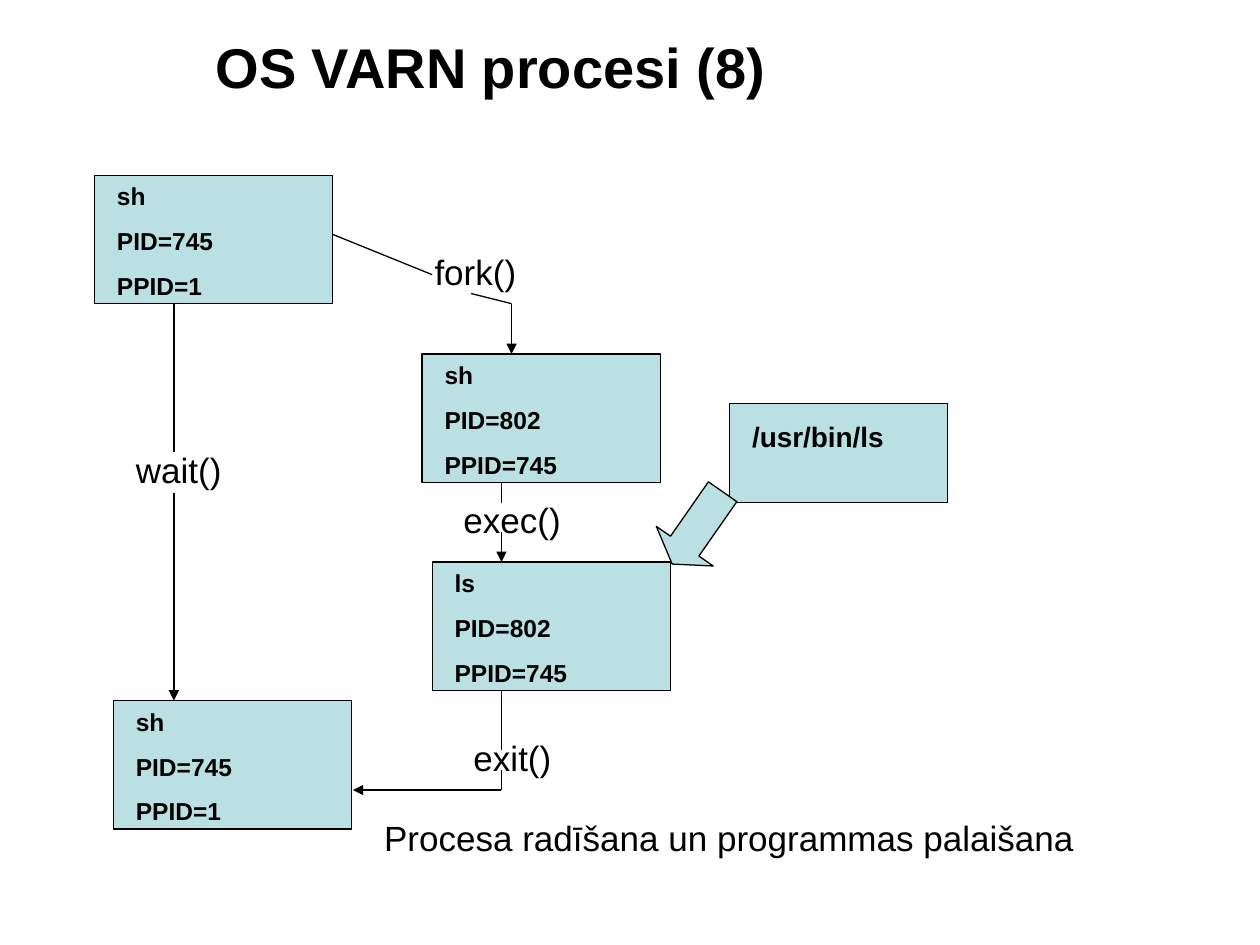
from lxml.etree import SubElement
from pptx import Presentation
from pptx.dml.color import RGBColor as Rgb
from pptx.enum.shapes import MSO_CONNECTOR as Conn, MSO_SHAPE as Geo
from pptx.enum.text import MSO_ANCHOR as Anchor, PP_ALIGN as Align
from pptx.oxml.ns import qn
from pptx.util import Inches, Pt

COLORS = {"ink": "000000", "fill": "BBE0E3"}
INK = Rgb.from_string(COLORS["ink"])
FILL = Rgb.from_string(COLORS["fill"])


def write(frame, text, size=20, bold=False, gap=0, anchor=Anchor.TOP):
    """Fill a text frame, one paragraph per line, with gap points between them."""
    frame.word_wrap = True
    frame.vertical_anchor = anchor
    frame.text = text
    for i, para in enumerate(frame.paragraphs):
        para.alignment = Align.LEFT
        para.space_before = Pt(gap if i else 0)
        font = para.font
        font.name, font.size, font.bold = "Arial", Pt(size), bold
        font.color.rgb = INK


def block(geo, left, top, width, height):
    shape = slide.shapes.add_shape(
        geo, Inches(left), Inches(top), Inches(width), Inches(height))
    shape.shadow.inherit = False
    shape.fill.solid()
    shape.fill.fore_color.rgb = FILL
    shape.line.color.rgb = INK
    shape.line.width = Pt(0.75)
    return shape


prs = Presentation()
prs.slide_width, prs.slide_height = Inches(10), Inches(7.5)
slide = prs.slides.add_slide(prs.slide_layouts[5])

title = slide.shapes.title
title.left, title.top = Inches(1.61), Inches(0.21)
title.width, title.height = Inches(5.98), Inches(0.63)
write(title.text_frame, "OS VARN procesi (8)", size=32, bold=True,
      anchor=Anchor.MIDDLE)

# Process boxes, each with its name and process numbers
procs = [
    (0.75, 1.39, "sh", 745, 1),
    (0.9, 5.56, "sh", 745, 1),
    (3.35, 2.81, "sh", 802, 745),
    (3.43, 4.46, "ls", 802, 745),
]
for left, top, name, pid, parent in procs:
    block(Geo.RECTANGLE, left, top, 1.89, 1.02)
    box = slide.shapes.add_textbox(
        Inches(left + 0.08), Inches(top), Inches(1.73), Inches(1.05))
    write(box.text_frame, f"{name}\nPID={pid}\nPPID={parent}",
          size=14, bold=True, gap=8.8)

# Program file and the arrow that loads it
block(Geo.RECTANGLE, 5.79, 3.2, 1.73, 0.79)
box = slide.shapes.add_textbox(
    Inches(5.87), Inches(3.28), Inches(1.58), Inches(0.37))
write(box.text_frame, "/usr/bin/ls", size=16, bold=True)
arrow = block(Geo.DOWN_ARROW, 5.26, 3.84, 0.55, 0.7)
arrow.rotation = 34.9
arrow.adjustments[0], arrow.adjustments[1] = 0.5, 0.315

# System calls and caption
labels = [
    (0.98, 3.51, 1.26, "wait()"),
    (3.35, 1.94, 1.81, "fork()"),
    (3.58, 3.91, 1.57, "exec()"),
    (3.66, 5.8, 1.34, "exit()"),
    (2.95, 6.43, 6.69, "Procesa radīšana un programmas palaišana"),
]
for left, top, width, text in labels:
    box = slide.shapes.add_textbox(
        Inches(left), Inches(top), Inches(width), Inches(0.44))
    write(box.text_frame, text)

# Lines: start, end, arrowhead at the end
lines = [
    (1.38, 2.41, 1.38, 3.59, False),
    (1.38, 3.91, 1.38, 5.56, True),
    (2.64, 1.86, 3.43, 2.18, False),
    (3.74, 2.33, 4.06, 2.41, False),
    (4.06, 2.41, 4.06, 2.81, True),
    (3.98, 3.83, 3.98, 3.99, False),
    (3.98, 4.22, 3.98, 4.46, True),
    (3.98, 5.48, 3.98, 5.95, False),
    (3.98, 6.11, 3.98, 6.27, False),
    (3.98, 6.27, 2.8, 6.27, True),
]
for *ends, head in lines:
    line = slide.shapes.add_connector(Conn.STRAIGHT, *map(Inches, ends))
    line.line.color.rgb = INK
    line.line.width = Pt(0.75)
    if head:
        SubElement(line.line._get_or_add_ln(), qn("a:tailEnd"), type="triangle")
    SubElement(line._element.spPr, qn("a:effectLst"))

prs.save("out.pptx")
